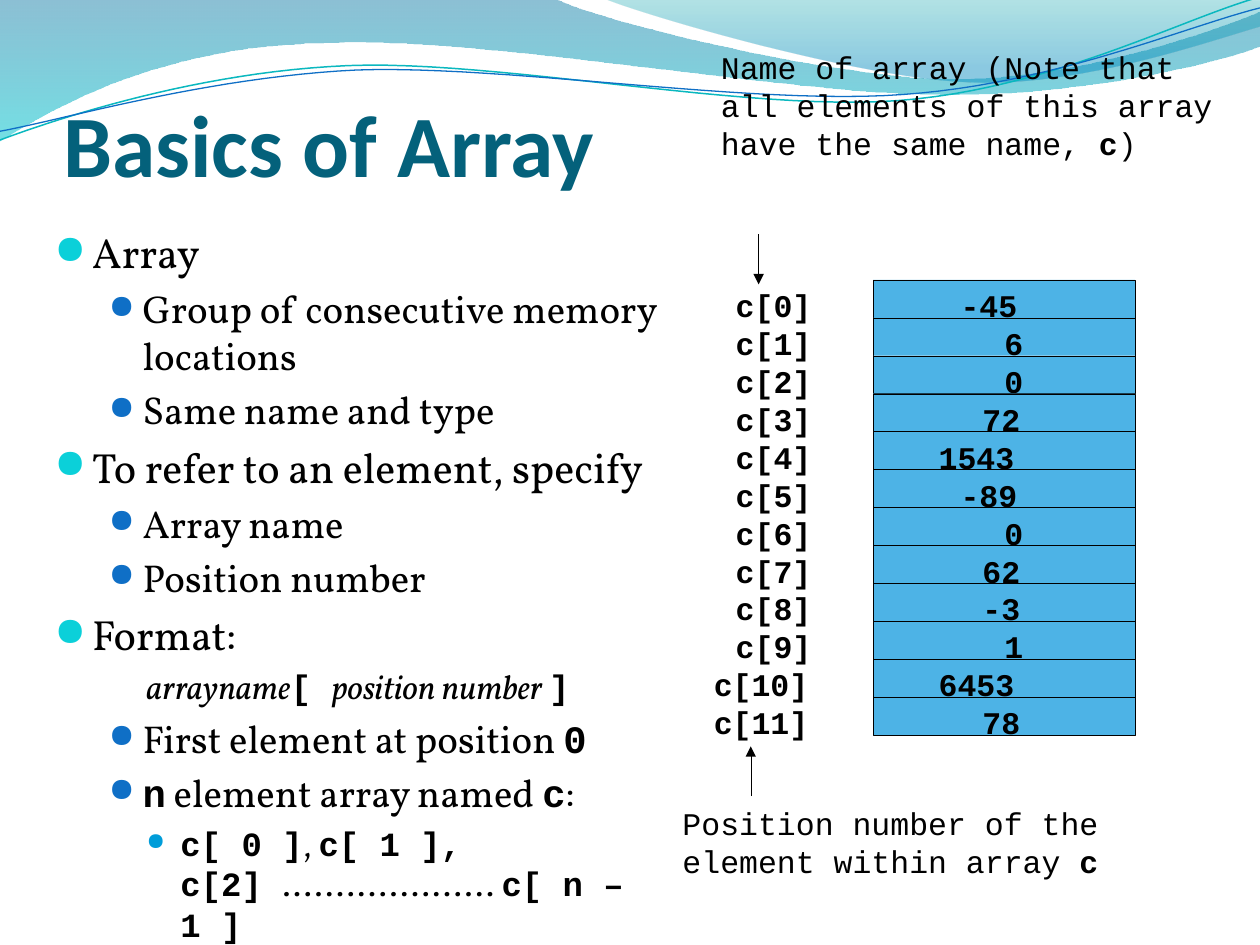
from lxml import etree
from pptx import Presentation
from pptx import util as u
from pptx.dml.color import RGBColor
from pptx.enum import shapes, text
from pptx.oxml import ns

BLACK = RGBColor(0, 0, 0)
TITLE_TEAL = RGBColor(0x04, 0x61, 0x7B)
CELL_BLUE = RGBColor(0x4D, 0xB3, 0xE6)
AQUA = RGBColor(0x0B, 0xD0, 0xD9)
BLUE = RGBColor(0x0F, 0x6F, 0xC6)
SKY = RGBColor(0x00, 0x9D, 0xD9)
LINE_AQUA = RGBColor(0x0A, 0xB8, 0xBF)
WAVE_BLUE = RGBColor(0x00, 0x74, 0xA1)
WAVE_AQUA = RGBColor(0x00, 0xC6, 0xCF)
CREST_TEAL = RGBColor(0x00, 0xA1, 0xA9)
CREST_BLUE = RGBColor(0x00, 0x8B, 0xBF)

SERIF = {"name": "Vollkorn"}
ITALIC = {"name": "Vollkorn", "italic": True}
MONO = {"name": "Courier New"}
CODE = {"name": "Courier New", "bold": True}
HEADING = {"name": "Calibri", "bold": True}

LEVELS = {
    "topic": (24.1, 21.6, 21.6, AQUA, 95),
    "point": (22.2, 50.4, 19.44, BLUE, 85),
    "detail": (19.4, 72, 19.44, SKY, 70),
    "format": (19.4, 72, 19.44, None, None),
}

OUTLINE = [
    ("topic", [("Array", SERIF)]),
    ("point", [("Group of consecutive memory locations", SERIF)]),
    ("point", [("Same name and type", SERIF)]),
    ("topic", [("To refer to an element, specify", SERIF)]),
    ("point", [("Array name", SERIF)]),
    ("point", [("Position number", SERIF)]),
    ("topic", [("Format:", SERIF)]),
    ("format", [("arrayname", ITALIC), ("[ ", CODE), ("position number ", ITALIC), ("]", CODE)]),
    ("point", [("First element at position ", SERIF), ("0", CODE)]),
    ("point", [("n", CODE), (" element array named ", SERIF), ("c", CODE), (":", SERIF)]),
    ("detail", [("c[ 0 ]", CODE), (", ", SERIF), ("c[ 1 ], c[2] ", CODE),
                (".................... ", SERIF), ("c[ n – 1 ]", CODE)]),
]
ELEMENTS = [-45, 6, 0, 72, 1543, -89, 0, 62, -3, 1, 6453, 78]


def curve_points(start, curves, steps=24):
    points = [start]
    for curve in curves:
        if len(curve) == 1:
            points.append(curve[0])
            continue
        corners = (points[-1], *curve)
        for step in range(1, steps + 1):
            t = step / steps
            weights = ((1 - t) ** 3, 3 * t * (1 - t) ** 2, 3 * t * t * (1 - t), t ** 3)
            points.append(tuple(sum(w * corner[axis] for w, corner in zip(weights, corners))
                                for axis in (0, 1)))
    return points


class SlideBuilder:
    def __init__(self, slide, ink=BLACK, hairline=0.25):
        self.slide = slide
        self.ink = ink
        self.hairline = hairline

    def outline(self, points, closed):
        scaled = [(u.Pt(x), u.Pt(y)) for x, y in points]
        builder = self.slide.shapes.build_freeform(*scaled[0])
        builder.add_line_segments(scaled[1:], close=closed)
        shape = builder.convert_to_shape()
        shape.shadow.inherit = False
        return shape

    def wave(self, points, stops):
        shape = self.outline(points, True)
        shape.line.fill.background()
        shape.fill.gradient()
        shape.fill.gradient_angle = 270
        for stop, (position, color, _) in zip(shape.fill.gradient_stops, stops):
            stop.position = position
            stop.color.rgb = color
        for node, (_, _, opacity) in zip(shape.element.iter(ns.qn("a:srgbClr")), stops):
            etree.SubElement(node, ns.qn("a:alpha"), val=str(opacity * 1000))

    def ripple(self, points, color, width):
        shape = self.outline(points, False)
        shape.fill.background()
        shape.line.color.rgb = color
        shape.line.width = u.Pt(width)

    def cell(self, left, top, width, height):
        shape = self.slide.shapes.add_shape(
            shapes.MSO_SHAPE.RECTANGLE, u.Pt(left), u.Pt(top), u.Pt(width), u.Pt(height))
        shape.shadow.inherit = False
        shape.fill.solid()
        shape.fill.fore_color.rgb = CELL_BLUE
        shape.line.color.rgb = self.ink
        shape.line.width = u.Pt(self.hairline)

    def arrow(self, x, start, end):
        connector = self.slide.shapes.add_connector(
            shapes.MSO_CONNECTOR.STRAIGHT, u.Pt(x), u.Pt(start), u.Pt(x), u.Pt(end))
        connector.line.color.rgb = self.ink
        connector.line.width = u.Pt(self.hairline)
        properties = connector.element.spPr
        etree.SubElement(properties.find(ns.qn("a:ln")), ns.qn("a:tailEnd"), type="triangle")
        etree.SubElement(properties, ns.qn("a:effectLst"))

    def frame(self, left, top, width, height, margins=(0, 0, 0, 0)):
        box = self.slide.shapes.add_textbox(u.Pt(left), u.Pt(top), u.Pt(width), u.Pt(height))
        frame = box.text_frame
        frame.word_wrap = True
        frame.margin_left, frame.margin_top, frame.margin_right, frame.margin_bottom = map(u.Pt, margins)
        return frame

    def style(self, font, settings):
        for key, value in settings.items():
            setattr(font, key, value)

    def fill_paragraph(self, paragraph, runs, size, color=None):
        paragraph.font.size = u.Pt(size)
        paragraph.font.color.rgb = color or self.ink
        if len(runs) == 1:
            paragraph.add_run().text = runs[0][0]
            self.style(paragraph.font, runs[0][1])
            return
        for content, settings in runs:
            run = paragraph.add_run()
            run.text = content
            self.style(run.font, settings)

    def label(self, left, top, width, height, runs, size=18):
        frame = self.frame(left, top, width, height)
        self.fill_paragraph(frame.paragraphs[0], runs, size)

    def title(self, left, top, width, height, content):
        frame = self.frame(left, top, width, height, (0, 3.6, 0, 0))
        frame.vertical_anchor = text.MSO_ANCHOR.BOTTOM
        self.fill_paragraph(frame.paragraphs[0], [(content, HEADING)], 50, TITLE_TEAL)

    def bullets(self, left, top, width, height, items):
        frame = self.frame(left, top, width, height, (7.2, 3.6, 7.2, 3.6))
        for index, (level, runs) in enumerate(items):
            size, indent, hanging, color, percent = LEVELS[level]
            paragraph = frame.add_paragraph() if index else frame.paragraphs[0]
            if index:
                paragraph.space_before = u.Pt(round(size * 0.2, 1))
            properties = paragraph._p.get_or_add_pPr()
            properties.set("marL", str(u.Pt(indent)))
            properties.set("indent", str(-u.Pt(hanging)))
            if color:
                tint = etree.SubElement(properties, ns.qn("a:buClr"))
                etree.SubElement(tint, ns.qn("a:srgbClr"), val=str(color))
                etree.SubElement(properties, ns.qn("a:buSzPct"), val=str(percent * 1000))
                etree.SubElement(properties, ns.qn("a:buChar"), char="●")
            else:
                etree.SubElement(properties, ns.qn("a:buNone"))
            self.fill_paragraph(paragraph, runs, size)


def draw_waves(builder):
    builder.wave(
        curve_points((0, 0), [
            [(317, -1)], [(343, 12), (478, 45), (546, 45)], [(614, 45), (690, 19), (720, 6.5)],
            [(721, 26)], [(708, 32), (626, 55), (537, 54)], [(448, 54), (275, 20), (185, 24.5)],
            [(93, 26), (33, 60), (-1, 81)]]),
        [(0, WAVE_BLUE, 45), (1, WAVE_AQUA, 55)])
    builder.wave(
        curve_points((345, -1), [
            [(366, 8), (491, 45), (554, 47)], [(616, 50), (692, 23), (720, 15)], [(720, 0)]]),
        [(0, CREST_TEAL, 30), (0.8, CREST_BLUE, 45)])
    builder.ripple(
        curve_points((0, 80), [
            [(35, 67), (114, 41), (199, 37.5)], [(284, 34), (427, 64), (513, 57.5)],
            [(600, 51), (675, 11), (719, -1.5)]]), LINE_AQUA, 0.85)
    builder.ripple(
        curve_points((0, 75), [
            [(34, 69), (118, 44), (204, 40)], [(290, 37), (430, 60.5), (516, 54)],
            [(602, 48), (678, 15), (720, 4.5)]]), BLUE, 0.75)


def draw_array(builder, top=160, pitch=21.67):
    for index, value in enumerate(ELEMENTS):
        row_top = top + index * pitch
        builder.cell(499, row_top, 149.5, pitch)
        for content, right in ((f"c[{index}]", 474.4), (str(value), 590.4)):
            width = 12.5 * len(content) + 4
            builder.label(right - width, row_top + 3.5, width, 16.5, [(content, CODE)])


def main():
    presentation = Presentation()
    presentation.slide_width, presentation.slide_height = u.Pt(720), u.Pt(540)
    builder = SlideBuilder(presentation.slides.add_slide(presentation.slide_layouts[6]))
    draw_waves(builder)
    builder.title(36, 21.6, 486, 90, "Basics of Array")
    builder.bullets(24, 126, 384, 390, OUTLINE)
    builder.label(412, 27.5, 296, 38, [
        ("Name of array (Note that all elements of this array have the same name, ", MONO),
        ("c", CODE), (")", MONO)])
    builder.label(390, 459.5, 278.5, 26, [
        ("Position number of the element within array ", MONO), ("c", CODE)])
    draw_array(builder)
    builder.arrow(433.5, 134, 162.5)
    builder.arrow(429, 455, 426.5)
    presentation.save("out.pptx")


if __name__ == "__main__":
    main()
